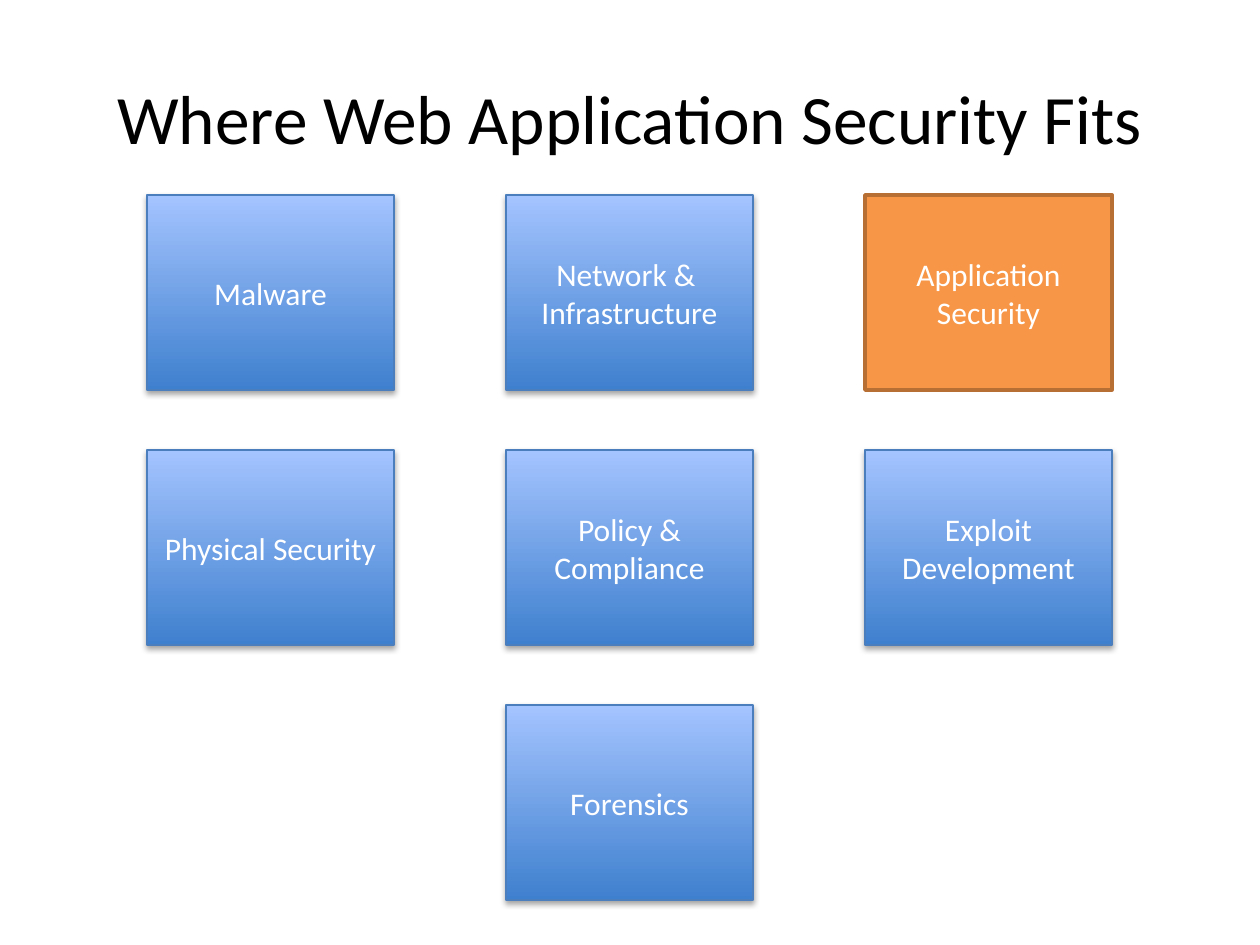
"""Build a slide showing where web application security fits among security fields."""
from dataclasses import dataclass

from lxml.etree import SubElement
from pptx import Presentation
from pptx.dml.color import RGBColor as RGB
from pptx.enum.shapes import MSO_SHAPE as SHAPE
from pptx.enum.text import MSO_ANCHOR as ANCHOR, PP_ALIGN as ALIGN
from pptx.oxml.ns import qn
from pptx.util import Emu, Pt

COLORS = {
    "title": "000000",
    "label": "FFFFFF",
    "blue_bottom": "3F80CE",
    "blue_top": "A4C4FF",
    "blue_line": "4B7EBC",
    "orange": "F79646",
    "orange_line": "B76F34",
    "shadow": "000000",
}
LEFT, TOP = 147, 195
COL_STEP, ROW_STEP = 359, 255
BOX_W, BOX_H = 247, 195


@dataclass
class Field:
    text: str
    col: int
    row: int
    highlight: bool = False


FIELDS = [
    Field("Malware", 0, 0),
    Field("Network & \nInfrastructure", 1, 0),
    Field("Application Security", 2, 0, highlight=True),
    Field("Physical Security", 0, 1),
    Field("Policy & Compliance", 1, 1),
    Field("Exploit Development", 2, 1),
    Field("Forensics", 1, 2),
]


def px(n: int) -> Emu:
    """Convert pixels to EMU."""
    return Emu(round(n * 914400 / 126))


def rgb(name: str) -> RGB:
    """Look up a named colour."""
    return RGB.from_string(COLORS[name])


def write(sp, text: str, *, size: float, color: str) -> None:
    """Write centred text into a shape, one paragraph per line."""
    tf = sp.text_frame
    tf.word_wrap = True
    tf.vertical_anchor = ANCHOR.MIDDLE
    tf.text = text
    for p in tf.paragraphs:
        p.alignment = ALIGN.CENTER
        for r in p.runs:
            r.font.name = "Calibri"
            r.font.size = Pt(size)
            r.font.color.rgb = rgb(color)


def add_shadow(sp) -> None:
    """Put a soft shadow below a shape."""
    effects = sp._element.spPr.find(qn("a:effectLst"))
    shadow = SubElement(effects, qn("a:outerShdw"), blurRad="40000", dist="23000",
                        dir="5400000", rotWithShape="0")
    color = SubElement(shadow, qn("a:srgbClr"), val=COLORS["shadow"])
    SubElement(color, qn("a:alpha"), val="35000")


def fill_gradient(sp) -> None:
    """Fill a shape with blue that lightens towards the top."""
    sp.fill.gradient()
    sp.fill.gradient_angle = 90
    for stop, name in zip(sp.fill.gradient_stops, ("blue_bottom", "blue_top")):
        stop.color.rgb = rgb(name)


def add_field(slide, field: Field) -> None:
    """Draw one security field at its place in the grid."""
    sp = slide.shapes.add_shape(
        SHAPE.RECTANGLE, px(LEFT + field.col * COL_STEP),
        px(TOP + field.row * ROW_STEP), px(BOX_W), px(BOX_H))
    sp.shadow.inherit = False
    if field.highlight:
        sp.fill.solid()
        sp.fill.fore_color.rgb = rgb("orange")
    else:
        fill_gradient(sp)
        add_shadow(sp)
    sp.line.color.rgb = rgb("orange_line" if field.highlight else "blue_line")
    sp.line.width = Pt(2 if field.highlight else 0.75)
    write(sp, field.text, size=18, color="label")


def main() -> None:
    """Build and save the presentation."""
    prs = Presentation()
    prs.slide_width, prs.slide_height = px(1260), px(945)
    slide = prs.slides.add_slide(prs.slide_layouts[6])
    title = slide.shapes.add_textbox(px(63), px(38), px(1134), px(157))
    write(title, "Where Web Application Security Fits", size=39.6, color="title")
    for field in FIELDS:
        add_field(slide, field)
    prs.save("out.pptx")


if __name__ == "__main__":
    main()
